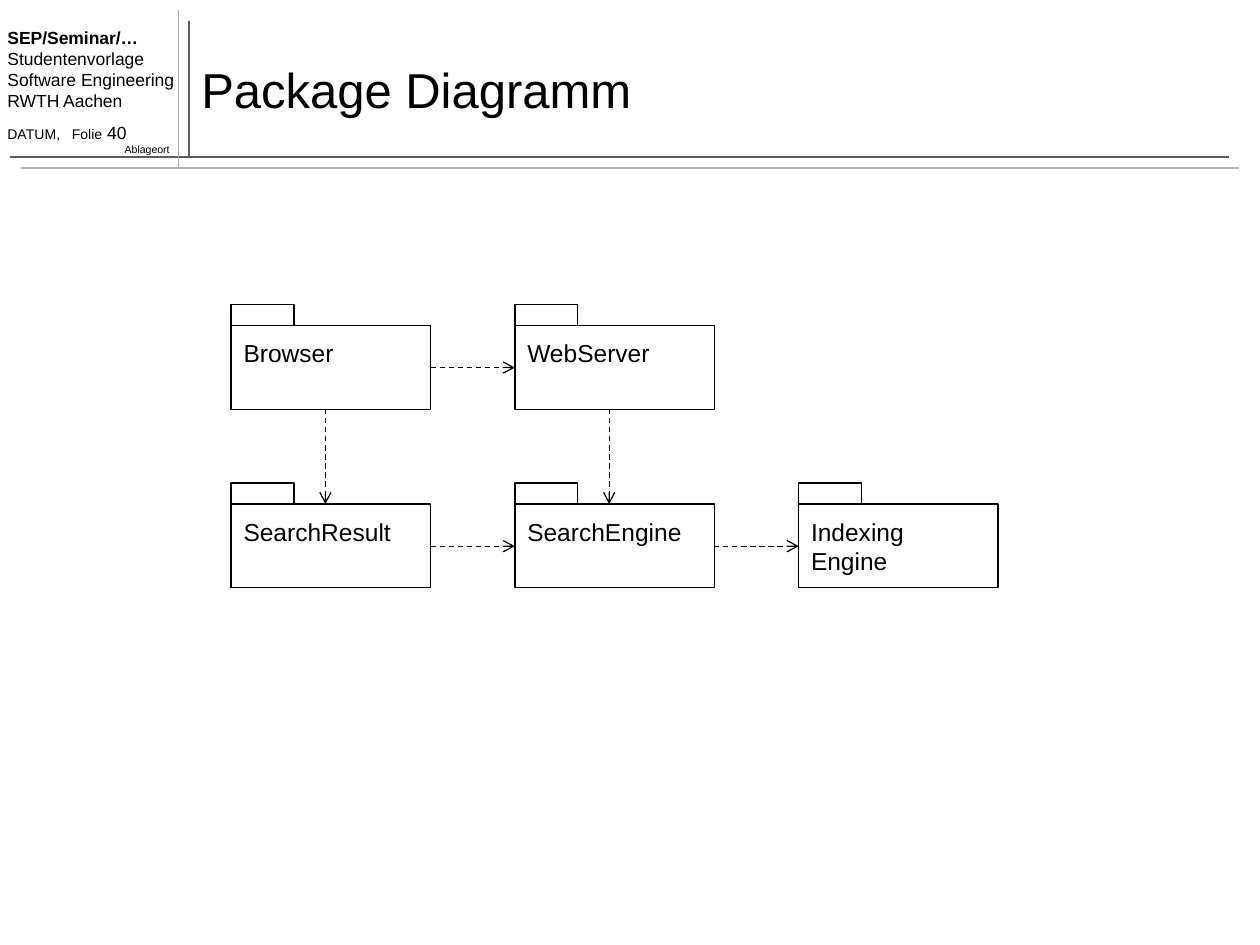
"""Build a UML package diagram slide with a lecture header."""
from lxml import etree
from pptx import Presentation, util as u
from pptx.dml.color import RGBColor
from pptx.enum import dml, shapes, text
from pptx.oxml import ns

THEME = {
    "font": "Arial", "ink": "000000", "paper": "FFFFFF", "dark": "5C5C5C", "light": "B2B2B2",
    "title": 28, "package": 14, "header": 10, "date": 8, "place": 6,
    "rule": 1, "outline": 0.75,
}
TITLE = "Package Diagramm"
HEADER = ["SEP/Seminar/…", "Studentenvorlage", "Software Engineering", "RWTH Aachen"]
DATE, PAGE, PLACE = "DATUM,\tFolie", " 40", "Ablageort"
RULES = [
    ((3.81, 3.17), (3.81, 0.42), "dark"),
    ((0.21, 3.17), (24.77, 3.17), "dark"),
    ((0.42, 3.39), (24.98, 3.39), "light"),
    ((3.6, 3.39), (3.6, 0.21), "light"),
]
PACKAGES = {
    "Browser": (0, 0, ["Browser"]),
    "WebServer": (1, 0, ["WebServer"]),
    "SearchResult": (0, 1, ["SearchResult"]),
    "SearchEngine": (1, 1, ["SearchEngine"]),
    "IndexingEngine": (2, 1, ["Indexing", "Engine"]),
}
DEPENDENCIES = [
    ("WebServer", "SearchEngine"),
    ("Browser", "SearchResult"),
    ("Browser", "WebServer"),
    ("SearchEngine", "IndexingEngine"),
    ("SearchResult", "SearchEngine"),
]
LEFT, TOP, COLUMN_STEP, ROW_STEP = 4.66, 6.56, 5.72, 3.6
WIDTH, HEIGHT, TAB_WIDTH, TAB_HEIGHT = 4.02, 1.69, 1.27, 0.42
ARROW_X, ARROW_Y = 1.9, 0.85


def color(name):
    return RGBColor.from_string(THEME[name])


def set_font(font, size, bold=False):
    font.name, font.size, font.bold = THEME["font"], u.Pt(THEME[size]), bold
    font.color.rgb = color("ink")


def write(frame, lines, size, insets=(0.25, 0.13, 0.25, 0.13), anchor="TOP", align="LEFT"):
    frame.margin_left, frame.margin_top, frame.margin_right, frame.margin_bottom = map(u.Cm, insets)
    frame.vertical_anchor = text.MSO_ANCHOR[anchor]
    frame.word_wrap = True
    frame.text = "\n".join(lines)
    for paragraph in frame.paragraphs:
        paragraph.alignment = text.PP_ALIGN[align]
        set_font(paragraph.font, size)


def add_text(slide, box, *content, **layout):
    frame = slide.shapes.add_textbox(*map(u.Cm, box)).text_frame
    write(frame, *content, **layout)
    return frame


def add_line(slide, start, end, tone, width):
    line = slide.shapes.add_connector(shapes.MSO_CONNECTOR.STRAIGHT, *map(u.Cm, start + end))
    line.line.color.rgb, line.line.width = color(tone), u.Pt(THEME[width])
    etree.SubElement(line._element.spPr, ns.qn("a:effectLst"))
    return line


def add_box(group, box):
    shape = group.shapes.add_shape(shapes.MSO_SHAPE.RECTANGLE, *map(u.Cm, box))
    shape.shadow.inherit = False
    shape.fill.solid()
    shape.fill.fore_color.rgb = color("paper")
    shape.line.color.rgb, shape.line.width = color("ink"), u.Pt(THEME["outline"])
    return shape


def corner(name):
    column, row, _ = PACKAGES[name]
    return LEFT + column * COLUMN_STEP, TOP + row * ROW_STEP


def add_package(slide, name):
    x, y = corner(name)
    group = slide.shapes.add_group_shape()
    body = add_box(group, (x, y, WIDTH, HEIGHT))
    write(body.text_frame, PACKAGES[name][2], "package", insets=(0.25, 0.26, 0.25, 0.13))
    add_box(group, (x, y - TAB_HEIGHT, TAB_WIDTH, TAB_HEIGHT))


def add_dependency(slide, source, target):
    (x1, y1), (x2, y2) = corner(source), corner(target)
    if y1 == y2:
        start, end = (x1 + WIDTH, y1 + ARROW_Y), (x2, y2 + ARROW_Y)
    else:
        start, end = (x1 + ARROW_X, y1 + HEIGHT), (x2 + ARROW_X, y2)
    arrow = add_line(slide, start, end, "ink", "outline")
    arrow.line.dash_style = dml.MSO_LINE.DASH
    etree.SubElement(arrow.line._get_or_add_ln(), ns.qn("a:tailEnd"), type="arrow")


def add_header(slide):
    for start, end, tone in RULES:
        add_line(slide, start, end, tone, "rule")
    frame = add_text(slide, (-0.1, 0.42, 3.91, 2.6), HEADER, "header", insets=(0.25, 0.13, 0, 0.13))
    frame.paragraphs[0].font.bold = True
    paragraph = frame.add_paragraph()
    paragraph.space_before = u.Pt(6.2)
    tabs = etree.SubElement(paragraph._p.get_or_add_pPr(), ns.qn("a:tabLst"))
    etree.SubElement(tabs, ns.qn("a:tab"), pos=str(u.Cm(1.3)), algn="l")
    for words, size in ((DATE, "date"), (PAGE, "header")):
        run = paragraph.add_run()
        run.text = words
        set_font(run.font, size)
    add_text(slide, (2.26, 2.76, 1.41, 0.51), [PLACE], "place", insets=(0, 0.13, 0.25, 0.13), align="RIGHT")
    add_text(slide, (3.81, 0.62, 21.17, 2.33), [TITLE], "title", anchor="MIDDLE")


def main():
    presentation = Presentation()
    presentation.slide_width, presentation.slide_height = u.Cm(25.4), u.Cm(19.05)
    slide = presentation.slides.add_slide(presentation.slide_layouts[6])
    add_header(slide)
    for name in PACKAGES:
        add_package(slide, name)
    for source, target in DEPENDENCIES:
        add_dependency(slide, source, target)
    presentation.save("out.pptx")


if __name__ == "__main__":
    main()
